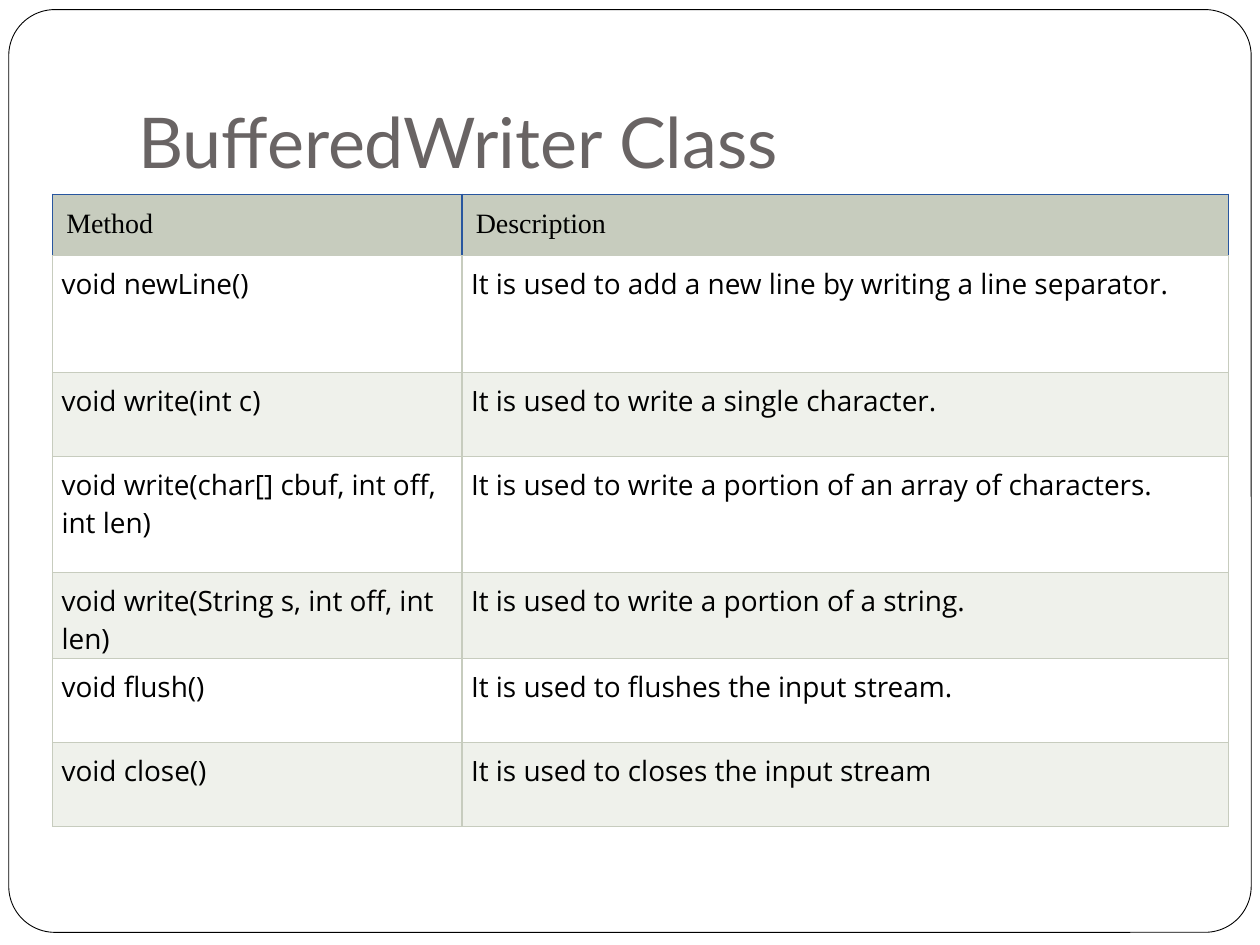
from lxml import etree
from pptx import Presentation
from pptx.dml.color import RGBColor
from pptx.enum.shapes import MSO_SHAPE
from pptx.enum.text import MSO_ANCHOR
from pptx.oxml.ns import qn
from pptx.util import Pt

ROUND = MSO_SHAPE.ROUNDED_RECTANGLE
BOTTOM = MSO_ANCHOR.BOTTOM

TITLE = "BufferedWriter Class"
HEAD = ("Method", "Description")
METHODS = [
    ("void newLine()", "It is used to add a new line by writing a line separator."),
    ("void write(int c)", "It is used to write a single character."),
    ("void write(char[] cbuf, int off, int len)",
     "It is used to write a portion of an array of characters."),
    ("void write(String s, int off, int len)",
     "It is used to write a portion of a string."),
    ("void flush()", "It is used to flushes the input stream."),
    ("void close()", "It is used to closes the input stream"),
]
WIDTHS = (234, 438)
HEIGHTS = (34.3, 66.7, 48, 66.7, 48, 48, 48)
BLACK, WHITE, GREY = "000000", "FFFFFF", "696464"
SAGE, PALE, BLUE = "C7CCBE", "EFF1EB", "28569F"


def color(code):
    """Turn a hex string into a colour."""
    return RGBColor.from_string(code)


def style(para, face, size, code):
    """Set the font of a paragraph."""
    font = para.font
    font.name, font.size = face, Pt(size)
    font.color.rgb = color(code)


def inset(part, left, top, right, bottom):
    """Set the inner margins of a cell or text frame."""
    part.margin_left, part.margin_top = Pt(left), Pt(top)
    part.margin_right, part.margin_bottom = Pt(right), Pt(bottom)


def border(cell, codes):
    """Draw the left, right, top and bottom edges of a cell."""
    props = cell._tc.get_or_add_tcPr()
    for spot, (side, code) in enumerate(zip("LRTB", codes)):
        line = etree.Element(qn("a:ln" + side), w=str(Pt(0.75)))
        fill = etree.SubElement(line, qn("a:solidFill"))
        etree.SubElement(fill, qn("a:srgbClr"), val=code)
        props.insert(spot, line)


def add_frame(slide):
    """Add the rounded frame around the slide."""
    frame = slide.shapes.add_shape(ROUND, Pt(5), Pt(5.5), Pt(710), Pt(527.3))
    frame.adjustments[0] = 0.05
    frame.shadow.inherit = False
    frame.fill.solid()
    frame.fill.fore_color.rgb = color(WHITE)
    frame.line.color.rgb = color(BLACK)
    frame.line.width = Pt(0.5)


def add_title(slide):
    """Add the title text."""
    text = slide.shapes.add_textbox(Pt(72), Pt(21.6), Pt(612), Pt(90)).text_frame
    text.word_wrap = True
    text.vertical_anchor = BOTTOM
    inset(text, 7.2, 3.6, 7.2, 7.2)
    text.text = TITLE
    style(text.paragraphs[0], "Lato", 40, GREY)


def add_grid(slide):
    """Add the table of methods."""
    rows = [HEAD] + METHODS
    grid = slide.shapes.add_table(len(rows), len(HEAD), Pt(30), Pt(111),
                                  Pt(sum(WIDTHS)), Pt(sum(HEIGHTS))).table
    for col, width in zip(grid.columns, WIDTHS):
        col.width = Pt(width)
    for row, height in zip(grid.rows, HEIGHTS):
        row.height = Pt(height)
    for r, row in enumerate(rows):
        top = r == 0
        fill = SAGE if top else (PALE, WHITE)[r % 2]
        face = "Times New Roman" if top else "Open Sans"
        edges = (BLUE, BLUE, BLUE, SAGE) if top else (SAGE,) * 4
        pad = 7.9 if top else 5.2
        for c, words in enumerate(row):
            cell = grid.cell(r, c)
            cell.text = words
            style(cell.text_frame.paragraphs[0], face, 16, BLACK)
            inset(cell, pad, pad, pad, pad)
            cell.fill.solid()
            cell.fill.fore_color.rgb = color(fill)
            border(cell, edges)


deck = Presentation()
deck.slide_width, deck.slide_height = Pt(720), Pt(540)
page = deck.slides.add_slide(deck.slide_layouts[6])
add_frame(page)
add_title(page)
add_grid(page)
deck.save("out.pptx")
